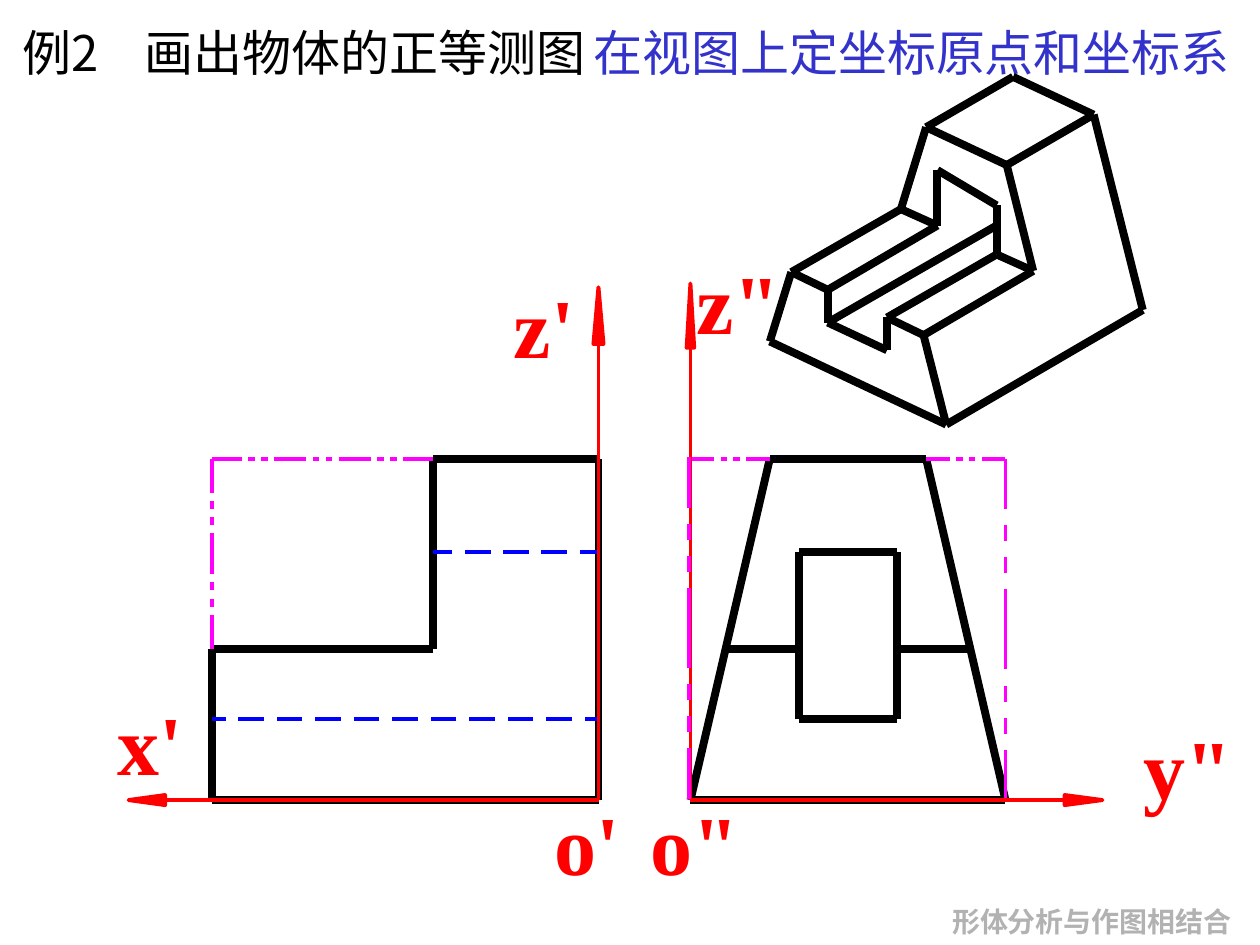
from dataclasses import dataclass
from itertools import accumulate, cycle, pairwise
from math import dist

from pptx import Presentation
from pptx.dml.color import RGBColor
from pptx.enum.shapes import MSO_CONNECTOR
from pptx.enum.text import MSO_ANCHOR, MSO_AUTO_SIZE, PP_ALIGN
from pptx.oxml import parse_xml
from pptx.oxml.ns import nsdecls
from pptx.util import Pt

SCALE = 9144
BLACK, RED, BLUE, PINK = "000000", "FF0000", "0000FF", "FF00FF"
ROMAN, NOTO = "Times New Roman", "Noto Sans CJK SC"
Point = tuple[float, float]


@dataclass
class Label:
    text: str
    box: tuple[int, int, int, int]
    size: int = 48
    color: str = RED
    bold: bool = True
    font: str = ROMAN
    anchor: MSO_ANCHOR = MSO_ANCHOR.MIDDLE
    align: PP_ALIGN = PP_ALIGN.CENTER


@dataclass
class Dash:
    start: Point
    end: Point
    color: str
    head: int
    count: int
    beats: tuple[int, ...]


@dataclass
class Axis:
    start: Point
    neck: Point
    tip: Point
    half: int


def px(value: float) -> int:
    return round(value * SCALE)


def rgb(code: str) -> RGBColor:
    return RGBColor.from_string(code)


def apply(target, values: dict) -> None:
    for name, value in values.items():
        setattr(target, name, value)


def write(shape, label: Label) -> None:
    apply(shape, dict(zip(("left", "top", "width", "height"), map(px, label.box))))
    frame = shape.text_frame
    frame.text = label.text
    apply(frame, {
        "word_wrap": False, "auto_size": MSO_AUTO_SIZE.SHAPE_TO_FIT_TEXT,
        "vertical_anchor": label.anchor,
        "margin_left": px(10), "margin_right": px(10),
        "margin_top": px(5), "margin_bottom": px(5),
    })
    para = frame.paragraphs[0]
    para.alignment = label.align
    font = para.runs[0].font
    apply(font, {"size": Pt(label.size), "bold": label.bold, "name": label.font})
    font.color.rgb = rgb(label.color)


def line(shapes, start: Point, end: Point, color: str, width: float) -> None:
    link = shapes.add_connector(MSO_CONNECTOR.STRAIGHT, *map(px, start + end))
    link.line.color.rgb = rgb(color)
    link.line.width = Pt(width)
    link._element.spPr.append(parse_xml(f"<a:effectLst {nsdecls('a')}/>"))


def chain(shapes, points: list[Point]) -> None:
    for start, end in pairwise(points):
        line(shapes, start, end, BLACK, 4.5)


def dashes(shapes, dash: Dash) -> None:
    full = dist(dash.start, dash.end)
    mid = dash.beats[1:] + dash.beats * dash.count
    unit = (full - 2 * dash.head) / sum(mid)
    stops = [0, *accumulate([dash.head, *(beat * unit for beat in mid), dash.head])]

    def spot(stop: float) -> Point:
        return tuple(a + (b - a) * stop / full for a, b in zip(dash.start, dash.end))

    for (near, far), shown in zip(pairwise(stops), cycle((True, False))):
        if shown:
            line(shapes, spot(near), spot(far), dash.color, 2.25)


def arrow(shapes, axis: Axis) -> None:
    line(shapes, axis.start, axis.neck, RED, 2.25)
    x, y = axis.neck
    dx, dy = (axis.half, 0) if axis.tip[0] == x else (0, axis.half)
    form = shapes.build_freeform(x - dx, y - dy, scale=SCALE)
    form.add_line_segments([axis.tip, (x + dx, y + dy)], close=True)
    head = form.convert_to_shape()
    head.shadow.inherit = False
    head.fill.solid()
    head.fill.fore_color.rgb = rgb(RED)
    head.line.color.rgb = rgb(RED)
    head.line.width = Pt(2.25)


TITLE = Label("例2\t画出物体的正等测图", (8, 13, 482, 57), 28, BLACK, False, NOTO,
              MSO_ANCHOR.TOP, PP_ALIGN.LEFT)
LABELS = [
    Label("形体分析与作图相结合", (741, 713, 251, 37), 16, "B2B2B2", anchor=MSO_ANCHOR.TOP),
    Label("在视图上定坐标原点和坐标系", (458, 13, 531, 57), 28, "3333CC", False,
          anchor=MSO_ANCHOR.TOP),
    Label("x'", (79, 544, 80, 90)),
    Label("o'", (426, 623, 80, 90)),
    Label("z'", (394, 213, 76, 90)),
    Label('o"', (502, 623, 99, 90)),
    Label('y"', (893, 563, 100, 90)),
    Label('z"', (537, 194, 98, 90)),
]
VIEWS = [
    [(475, 635), (475, 364), (344, 364), (344, 515), (168, 515), (168, 635), (475, 635)],
    [(548, 635), (798, 635), (735, 364), (611, 364), (548, 635)],
    [(673, 438), (712, 438), (712, 571), (673, 571), (634, 571), (634, 438), (673, 438)],
    [(576, 515), (634, 515)],
    [(712, 515), (770, 515)],
]
SOLID = [
    [(751, 337), (733, 266), (820, 215), (799, 131), (868, 91), (907, 246), (751, 337),
     (611, 271), (628, 216), (715, 166), (735, 101), (804, 61), (868, 91)],
    [(799, 131), (735, 101)],
    [(733, 266), (704, 252), (791, 202), (820, 215)],
    [(791, 202), (791, 163), (744, 135), (744, 179), (657, 230), (657, 256),
     (704, 278), (704, 252)],
    [(657, 230), (628, 216)],
    [(744, 179), (715, 166)],
    [(657, 256), (791, 179)],
]
HIDE, PHANTOM = (2, 1), (5, 1, 1, 1, 1, 1)
DASHES = [
    Dash((475, 571), (168, 571), BLUE, 11, 9, HIDE),
    Dash((475, 438), (344, 438), BLUE, 15, 3, HIDE),
    Dash((168, 515), (168, 364), PINK, 27, 1, PHANTOM),
    Dash((168, 364), (344, 364), PINK, 24, 2, PHANTOM),
    Dash((798, 364), (798, 635), PINK, 40, 1, PHANTOM),
    Dash((548, 364), (611, 364), PINK, 19, 0, PHANTOM),
    Dash((735, 364), (798, 364), PINK, 19, 0, PHANTOM),
]
EDGE = Dash((547, 363), (547, 634), PINK, 40, 1, PHANTOM)
AXES = [
    Axis((475, 635), (131, 635), (102, 635), 4),
    Axis((475, 635), (475, 273), (475, 228), 4),
    Axis((548, 635), (845, 635), (875, 635), 4),
    Axis((548, 635), (548, 276), (548, 225), 3),
]


def main() -> None:
    deck = Presentation()
    apply(deck, {"slide_width": px(1000), "slide_height": px(750)})
    shapes = deck.slides.add_slide(deck.slide_layouts[5]).shapes
    write(shapes.title, TITLE)
    para = shapes.title.text_frame.paragraphs[0]
    para._p.get_or_add_pPr().append(parse_xml(
        f'<a:tabLst {nsdecls("a")}><a:tab pos="{px(97)}" algn="l"/></a:tabLst>'))
    for run in para.runs:
        run.font._element.append(parse_xml(f'<a:ea {nsdecls("a")} typeface="{NOTO}"/>'))
    for points in VIEWS:
        chain(shapes, points)
    for dash in DASHES:
        dashes(shapes, dash)
    for label in LABELS:
        write(shapes.add_textbox(*map(px, label.box)), label)
    for axis in AXES:
        arrow(shapes, axis)
    for points in SOLID:
        chain(shapes, points)
    dashes(shapes, EDGE)
    deck.save("out.pptx")


if __name__ == "__main__":
    main()
